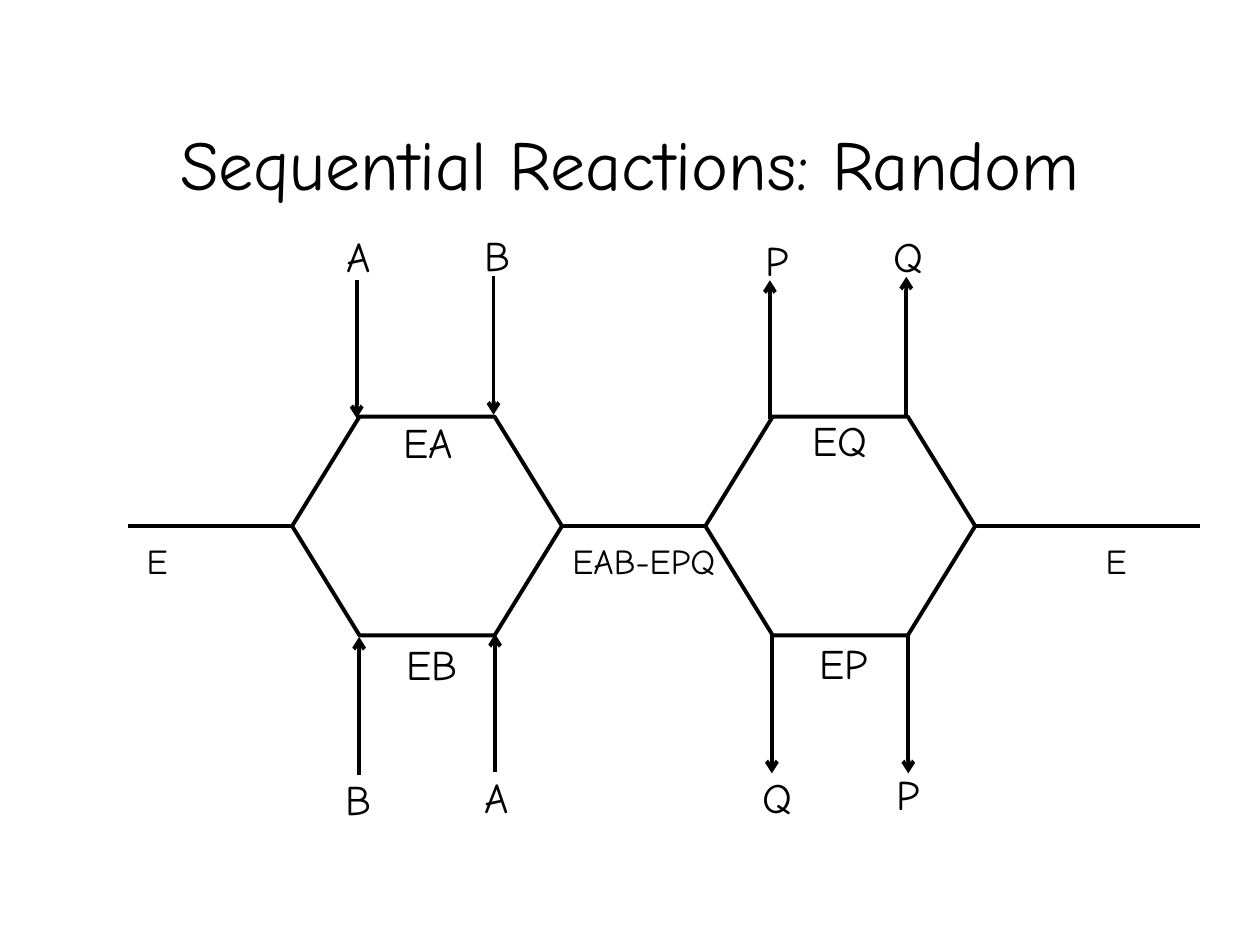
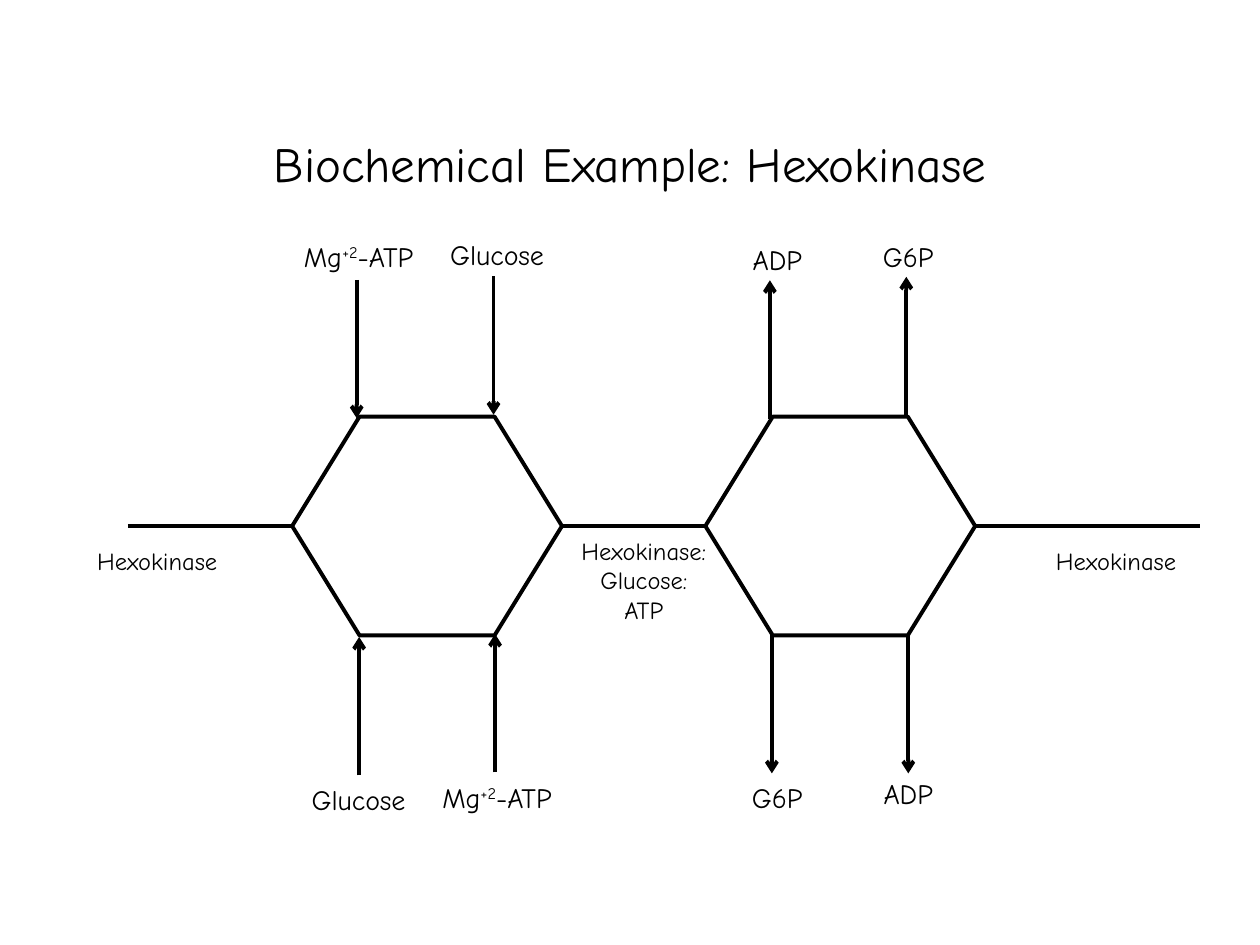
from lxml.etree import SubElement
from pptx import Presentation
from pptx.dml.color import RGBColor
from pptx.enum.shapes import MSO_CONNECTOR, MSO_SHAPE
from pptx.enum.text import MSO_ANCHOR, PP_ALIGN
from pptx.oxml.ns import qn
from pptx.util import Cm, Pt

INK = RGBColor(0x00, 0x00, 0x00)
PAPER = RGBColor(0xFF, 0xFF, 0xFF)

# All places are in centimetres.
LABEL_WIDTH, LABEL_HEIGHT = 3.6, 1.37
HEXAGON_LEFTS = (5.89, 14.22)
AXIS_Y = 10.61

ARROW_LENGTH = 2.79

# Each species: label centre, label top, arrow x, arrow top, arrow points down
UPPER_SPECIES = (
    (7.23, 4.48, 7.19, 5.64, True),
    (10.02, 4.45, 9.95, 5.57, True),
    (15.67, 4.55, 15.52, 5.65, False),
    (18.31, 4.48, 18.27, 5.58, False),
)
LOWER_SPECIES = (
    (7.23, 15.42, 7.24, 12.84, False),
    (10.02, 15.38, 9.98, 12.78, False),
    (15.67, 15.38, 15.56, 12.8, True),
    (18.31, 15.31, 18.31, 12.8, True),
)
ENZYME_CENTRES = (3.17, 12.98, 22.5)
INTERMEDIATES = (
    ("EA", 8.64, 8.22),
    ("EQ", 16.94, 8.18),
    ("EB", 8.71, 12.7),
    ("EP", 17.01, 12.67),
)


class ReactionDeck:
    font = "Comic Neue"
    stroke = Pt(2.25)

    def __init__(self):
        self.presentation = Presentation()
        self.presentation.slide_width = Cm(25.4)
        self.presentation.slide_height = Cm(19.05)
        self.slide = None

    def new_slide(self):
        blank = self.presentation.slide_layouts[6]
        self.slide = self.presentation.slides.add_slide(blank)
        background = self.slide.background.fill
        background.solid()
        background.fore_color.rgb = PAPER

    def text(self, content, left, top, width, height, size):
        """Add centred text; carets enclose a superscript, newlines break lines."""
        box = self.slide.shapes.add_textbox(Cm(left), Cm(top), Cm(width), Cm(height))
        frame = box.text_frame
        frame.word_wrap = True
        frame.vertical_anchor = MSO_ANCHOR.MIDDLE
        paragraph = frame.paragraphs[0]
        paragraph.alignment = PP_ALIGN.CENTER
        for row, line in enumerate(content.split("\n")):
            if row:
                paragraph.add_line_break()
            for part, wording in enumerate(line.split("^")):
                run = paragraph.add_run()
                run.text = wording
                run.font.name = self.font
                run.font.size = Pt(size)
                run.font.color.rgb = INK
                if part % 2:
                    run.font._element.set("baseline", "30000")

    def title(self, content, size):
        self.text(content, 1.9, 1.69, 21.6, 3.18, size)

    def label(self, content, centre, top, size, height=LABEL_HEIGHT):
        self.text(content, centre - LABEL_WIDTH / 2, top, LABEL_WIDTH, height, size)

    def line(self, x1, y1, x2, y2, arrow=False):
        connector = self.slide.shapes.add_connector(
            MSO_CONNECTOR.STRAIGHT, Cm(x1), Cm(y1), Cm(x2), Cm(y2))
        connector.line.color.rgb = INK
        connector.line.width = self.stroke
        if arrow:
            SubElement(connector.line._get_or_add_ln(), qn("a:tailEnd"), type="arrow")
        SubElement(connector._element.spPr, qn("a:effectLst"))

    def hexagon(self, left):
        ring = self.slide.shapes.add_shape(
            MSO_SHAPE.HEXAGON, Cm(left), Cm(8.4), Cm(5.44), Cm(4.41))
        ring.adjustments[0] = 0.308
        ring.shadow.inherit = False
        ring.fill.solid()
        ring.fill.fore_color.rgb = PAPER
        ring.line.color.rgb = INK
        ring.line.width = self.stroke

    def species(self, names, places, size):
        """Label each substrate or product and draw its arrow."""
        for name, (centre, top, x, arrow_top, down) in zip(names, places):
            self.label(name, centre, top, size)
            ends = (arrow_top, arrow_top + ARROW_LENGTH)
            start, finish = ends if down else reversed(ends)
            self.line(x, start, x, finish, arrow=True)

    def reaction(self, upper, lower, species_size, enzymes, enzyme_size,
                 complex_height=LABEL_HEIGHT):
        """Draw a random sequential reaction along one enzyme axis."""
        self.line(2.58, AXIS_Y, 24.2, AXIS_Y)
        for left in HEXAGON_LEFTS:
            self.hexagon(left)
        heights = (LABEL_HEIGHT, complex_height, LABEL_HEIGHT)
        for enzyme, centre, height in zip(enzymes, ENZYME_CENTRES, heights):
            self.label(enzyme, centre, AXIS_Y, enzyme_size, height)
        self.species(upper, UPPER_SPECIES, species_size)
        self.species(lower, LOWER_SPECIES, species_size)


def main():
    deck = ReactionDeck()

    deck.new_slide()
    deck.title("Sequential Reactions: Random", 40)
    deck.reaction("ABPQ", "BAQP", 24, ("E", "EAB-EPQ", "E"), 20)
    for name, centre, top in INTERMEDIATES:
        deck.label(name, centre, top, 24)

    deck.new_slide()
    deck.title("Biochemical Example: Hexokinase", 28)
    deck.reaction(
        ("Mg^+2^-ATP", "Glucose", "ADP", "G6P"),
        ("Glucose", "Mg^+2^-ATP", "G6P", "ADP"), 16,
        ("Hexokinase", "Hexokinase:\nGlucose:\nATP", "Hexokinase"), 14,
        complex_height=2.16)

    deck.presentation.save("out.pptx")


if __name__ == "__main__":
    main()
